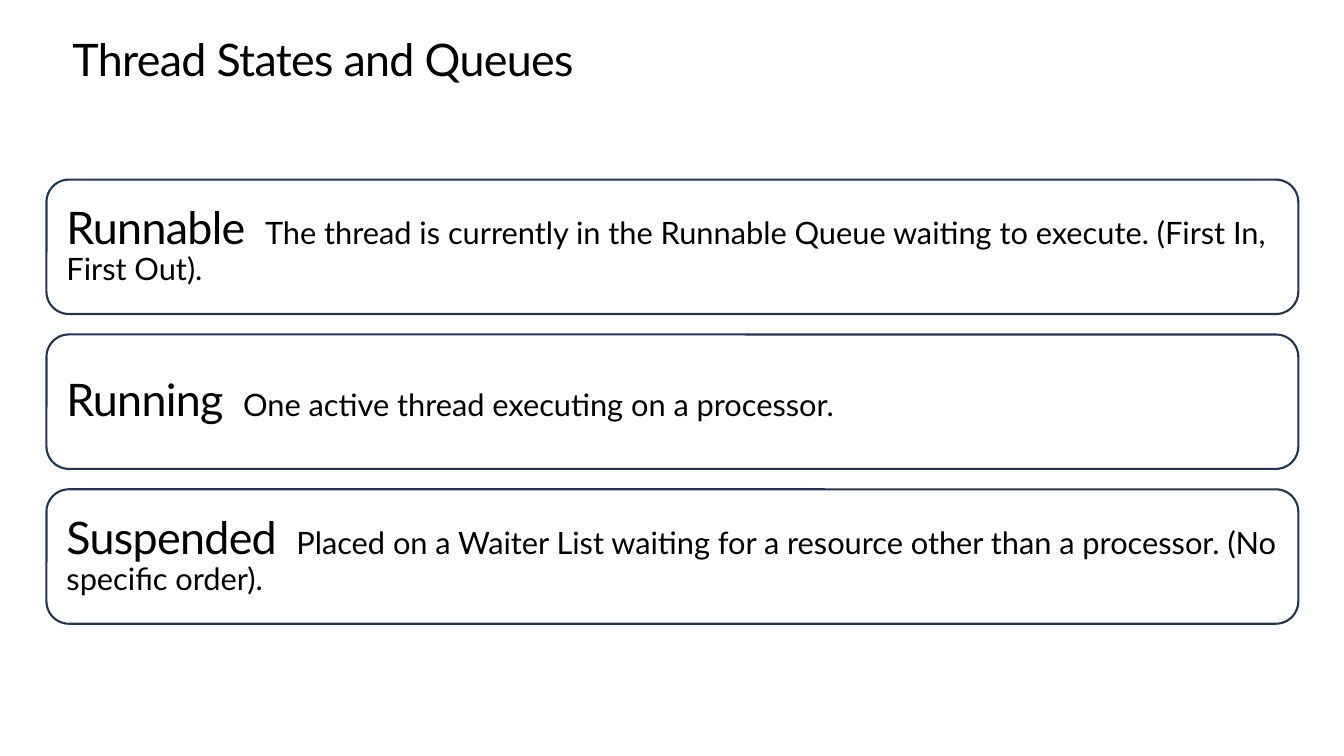
from pptx import Presentation
from pptx.dml.color import RGBColor
from pptx.enum.shapes import MSO_SHAPE
from pptx.enum.text import MSO_ANCHOR, PP_ALIGN
from pptx.util import Pt

TITLE = "Thread States and Queues"
STATES = [
    ("Runnable", "The thread is currently in the Runnable Queue waiting to execute. (First In, First Out)."),
    ("Running", "One active thread executing on a processor."),
    ("Suspended", "Placed on a Waiter List waiting for a resource other than a processor. (No specific order)."),
]
THEME = {
    "font": "Lato",
    "text": RGBColor(0x00, 0x00, 0x00),
    "card": RGBColor(0xFF, 0xFF, 0xFF),
    "border": RGBColor(0x21, 0x35, 0x55),
    "heading": 32,
    "separator": 28,
    "body": 22,
}
CARD_LEFT, CARD_TOP, CARD_WIDTH, CARD_HEIGHT = 33.2, 128.3, 894.2, 96
CARD_PITCH = 110.6
CARD_INSET = 9.6


def add_run(p, text, size, color, bold=False, spacing=0):
    r = p.add_run()
    r.text = text
    r.font.name = THEME["font"]
    r.font.size = Pt(size)
    r.font.bold = bold
    r.font.color.rgb = color
    if spacing:
        r.font._element.set("spc", str(spacing))


def set_frame(tf, inset, anchor):
    tf.word_wrap = True
    tf.vertical_anchor = anchor
    tf.margin_left = tf.margin_right = tf.margin_top = tf.margin_bottom = Pt(inset)


def add_title(s):
    tf = s.shapes.add_textbox(Pt(51.8), Pt(25.2), Pt(856.8), Pt(36.2)).text_frame
    set_frame(tf, 0, MSO_ANCHOR.TOP)
    p = tf.paragraphs[0]
    p.line_spacing = Pt(36.2)
    add_run(p, TITLE, THEME["heading"], THEME["text"], spacing=-50)


def add_card(s, top, state, description):
    sp = s.shapes.add_shape(MSO_SHAPE.ROUNDED_RECTANGLE, Pt(CARD_LEFT), Pt(top),
                            Pt(CARD_WIDTH), Pt(CARD_HEIGHT))
    sp.shadow.inherit = False
    sp.fill.solid()
    sp.fill.fore_color.rgb = THEME["card"]
    sp.line.color.rgb = THEME["border"]
    sp.line.width = Pt(1.5)
    set_frame(sp.text_frame, CARD_INSET, MSO_ANCHOR.MIDDLE)
    p = sp.text_frame.paragraphs[0]
    p.alignment = PP_ALIGN.LEFT
    p.line_spacing = 0.9
    add_run(p, state, THEME["heading"], THEME["text"], spacing=-50)
    add_run(p, ": ", THEME["separator"], THEME["card"], bold=True)
    add_run(p, description, THEME["body"], THEME["text"])


def main():
    prs = Presentation()
    prs.slide_width, prs.slide_height = Pt(960), Pt(540)
    s = prs.slides.add_slide(prs.slide_layouts[6])
    add_title(s)
    for i, (state, description) in enumerate(STATES):
        add_card(s, CARD_TOP + i * CARD_PITCH, state, description)
    prs.save("out.pptx")


if __name__ == "__main__":
    main()
